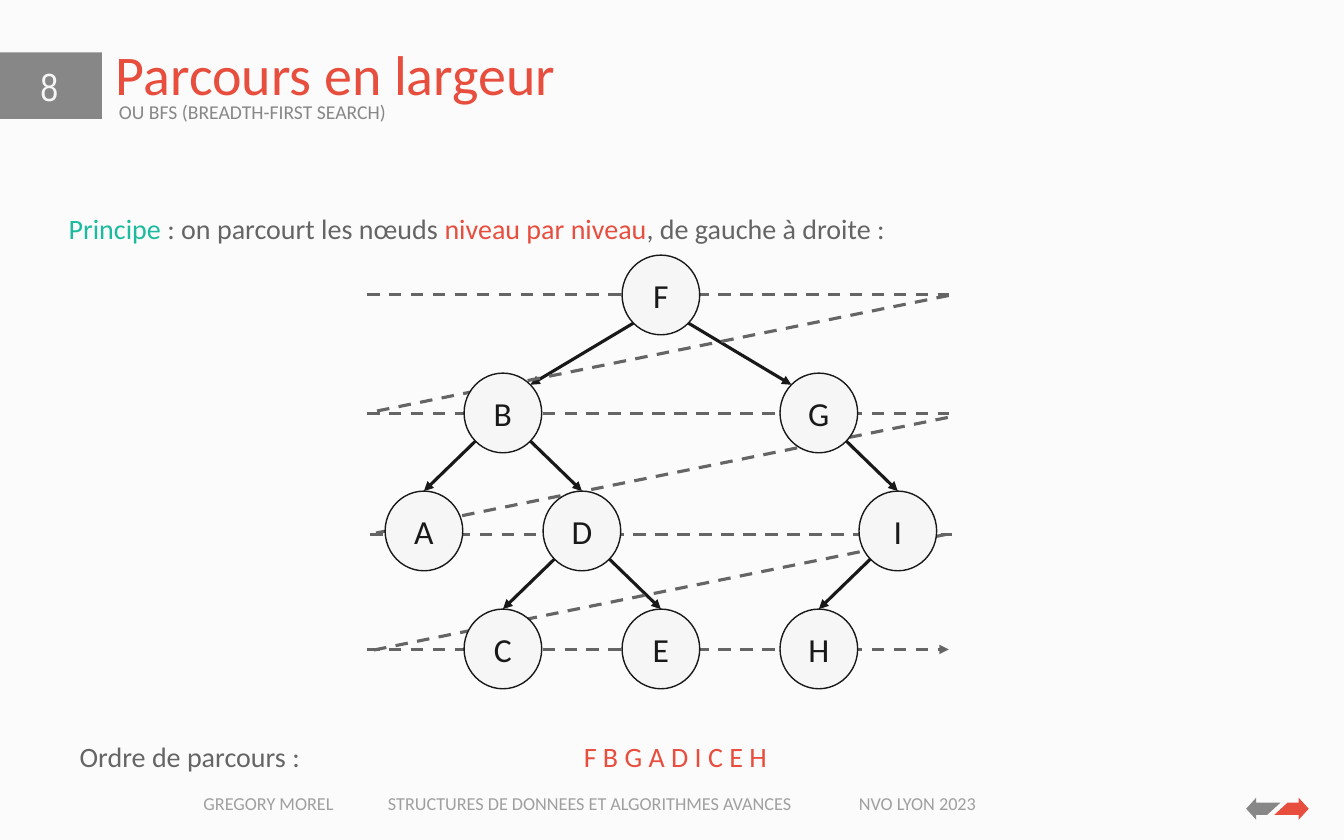
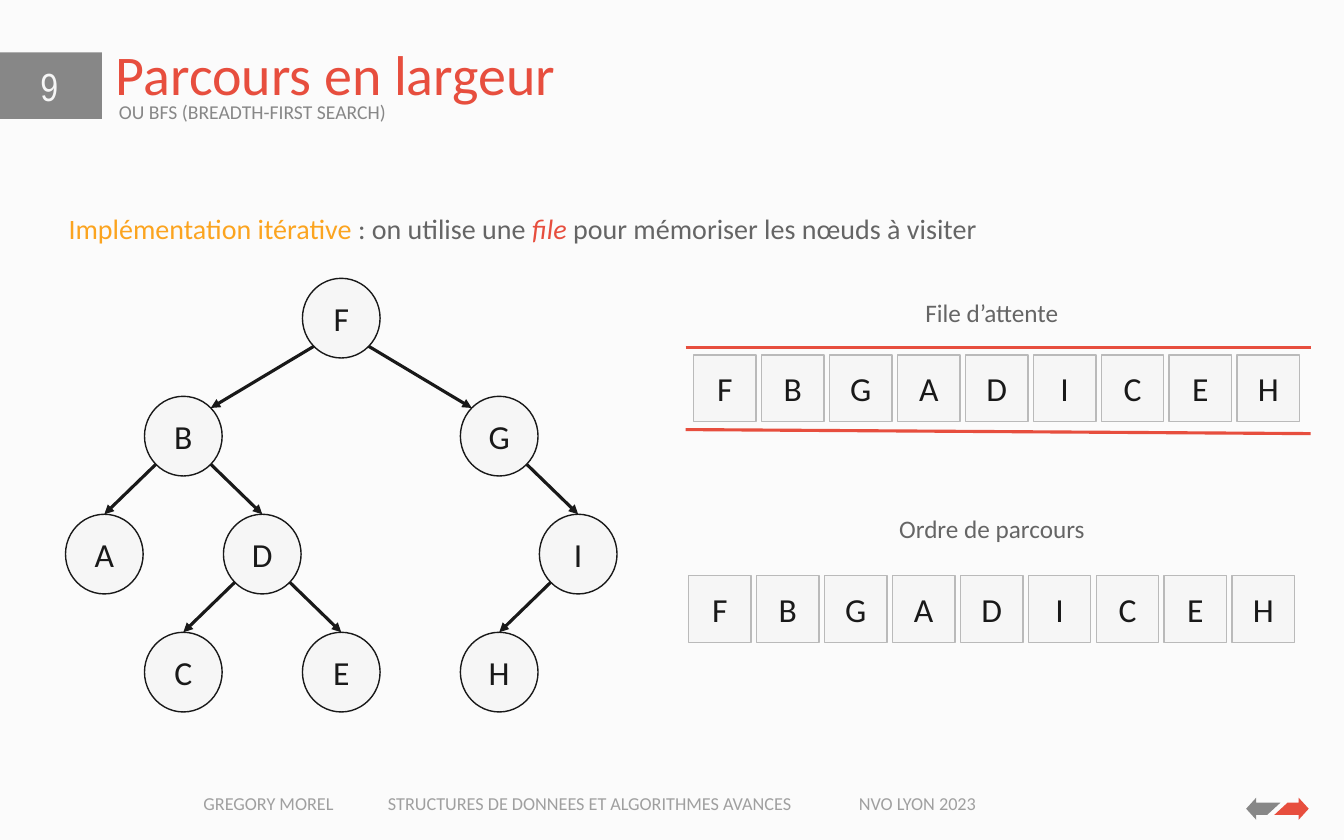
from dataclasses import dataclass

from lxml import etree
from pptx import Presentation
from pptx.dml.color import RGBColor
from pptx.enum.dml import MSO_LINE
from pptx.enum.shapes import MSO_CONNECTOR, MSO_SHAPE
from pptx.enum.text import MSO_ANCHOR, MSO_AUTO_SIZE, PP_ALIGN
from pptx.oxml.ns import qn
from pptx.util import Inches, Pt

LEFT, CENTER = PP_ALIGN.LEFT, PP_ALIGN.CENTER
TOP, MIDDLE, BOTTOM = MSO_ANCHOR.TOP, MSO_ANCHOR.MIDDLE, MSO_ANCHOR.BOTTOM
RECTANGLE, ELLIPSE = MSO_SHAPE.RECTANGLE, MSO_SHAPE.OVAL
STRAIGHT, DASH = MSO_CONNECTOR.STRAIGHT, MSO_LINE.DASH
NO_AUTOFIT = MSO_AUTO_SIZE.NONE


@dataclass(frozen=True)
class Theme:
    background: str = "FBFBFB"
    pale: str = "F6F6F6"
    ink: str = "191919"
    body: str = "656565"
    grey: str = "878787"
    border: str = "BABABA"
    red: str = "E74E3E"
    green: str = "1CBB9F"
    orange: str = "FBA41F"
    font: str = "Calibri"
    number_font: str = "Arial Narrow"
    title_size: int = 40
    number_size: int = 28
    node_size: int = 24
    body_size: int = 20
    label_size: int = 18
    subtitle_size: int = 14
    footer_size: int = 13
    thick: float = 2.25
    thin: float = 1


THEME = Theme()
SLIDE_WIDTH, SLIDE_HEIGHT = 13.33, 8.33

NODE_WIDTH, NODE_HEIGHT = 0.77, 0.79
COLUMN_STEP, ROW_STEP = 4.7 / 6, 1.17
DIAGONAL = 0.5 ** 0.5
NODES = {
    "F": (3, 0), "B": (1, 1), "G": (5, 1),
    "A": (0, 2), "D": (2, 2), "I": (6, 2),
    "C": (1, 3), "E": (3, 3), "H": (5, 3),
}
EDGES = ("FB", "BA", "BD", "FG", "GI", "DE", "DC", "IH")
VISIT_ORDER = "FBGADICEH"

CELL_WIDTH, CELL_HEIGHT = 0.62, 0.66
CELL_STEP = 5.39 / 8

SCAN_STARTS = ((3.64, 2.92), (3.64, 4.1), (3.67, 5.3), (3.64, 6.44))
SCAN_LENGTH = 5.77
RETURN_STARTS = ((9.41, 2.93), (9.4, 4.14), (9.38, 5.3))
RETURN_WIDTH, RETURN_DROP = 5.74, 1.16

ARROW_CENTER = (12.67, 8.02)
ARROW_OUTLINE = (
    (0.21, -0.06), (0.21, -0.11), (0.31, 0), (0.21, 0.11),
    (0.21, 0.06), (-0.03, 0.06), (0.1, -0.06),
)


def color(value):
    return RGBColor.from_string(value)


def box(left, top, width, height):
    return [Inches(length) for length in (left, top, width, height)]


def add_run(paragraph, text, size, text_color, italic=False, font=THEME.font):
    run = paragraph.add_run()
    run.text = text
    run.font.name = font
    run.font.size = Pt(size)
    run.font.italic = italic
    run.font.color.rgb = color(text_color)


def paint(shape, fill, line=None):
    shape.shadow.inherit = False
    shape.fill.solid()
    shape.fill.fore_color.rgb = color(fill)
    if line:
        shape.line.color.rgb = color(line)
        shape.line.width = Pt(THEME.thin)
    else:
        shape.line.fill.background()


def add_text(slide, area, alignment=LEFT, wrap=True):
    shape = slide.shapes.add_textbox(*box(*area))
    shape.text_frame.word_wrap = wrap
    paragraph = shape.text_frame.paragraphs[0]
    paragraph.alignment = alignment
    return shape, paragraph


def set_tabs(paragraph, positions):
    properties = paragraph._p.get_or_add_pPr()
    tabs = etree.SubElement(properties, qn("a:tabLst"))
    for position in positions:
        etree.SubElement(tabs, qn("a:tab"), pos=str(Inches(position)), algn="l")


def add_letter(slide, preset, area, letter, line):
    shape = slide.shapes.add_shape(preset, *box(*area))
    paint(shape, THEME.pale, line)
    shape.text_frame.vertical_anchor = MIDDLE
    paragraph = shape.text_frame.paragraphs[0]
    paragraph.alignment = CENTER
    add_run(paragraph, letter, THEME.node_size, THEME.ink)


def add_line(slide, start, end, line_color, dashed=False, arrow=False):
    ends = [Inches(length) for length in (*start, *end)]
    connector = slide.shapes.add_connector(STRAIGHT, *ends)
    connector.line.color.rgb = color(line_color)
    connector.line.width = Pt(THEME.thick)
    if dashed:
        connector.line.dash_style = DASH
    properties = connector.element.spPr
    if arrow:
        outline = properties.find(qn("a:ln"))
        etree.SubElement(outline, qn("a:tailEnd"), type="triangle")
    etree.SubElement(properties, qn("a:effectLst"))


def add_half_arrow(slide, direction, fill):
    center_x, center_y = ARROW_CENTER
    points = [
        (Inches(center_x + direction * x), Inches(center_y + direction * y))
        for x, y in ARROW_OUTLINE
    ]
    builder = slide.shapes.build_freeform(*points[0])
    builder.add_line_segments(points[1:], close=True)
    shape = builder.convert_to_shape()
    paint(shape, fill)
    return shape


def add_footer(slide):
    shape, paragraph = add_text(slide, (1.92, 7.81, 8.47, 0.32))
    set_tabs(paragraph, (1.83, 6.5))
    text = "GREGORY MOREL\tSTRUCTURES DE DONNEES ET ALGORITHMES AVANCES\tNVO LYON 2023"
    add_run(paragraph, text, THEME.footer_size, THEME.grey)
    for text_color in shape.element.iter(qn("a:srgbClr")):
        etree.SubElement(text_color, qn("a:alpha"), val="79000")
    return shape


def prepare_layout(presentation):
    background = presentation.slide_master.background.fill
    background.solid()
    background.fore_color.rgb = color(THEME.background)
    layout = presentation.slide_layouts[0]
    areas = {0: (1.05, 0.13, 10, 0.99), 1: (1.08, 0.97, 10, 0.49)}
    for placeholder in list(layout.placeholders):
        area = areas.get(placeholder.placeholder_format.idx)
        if area:
            (placeholder.left, placeholder.top,
             placeholder.width, placeholder.height) = box(*area)
        else:
            layout.shapes.element.remove(placeholder.element)
    return layout


def move_furniture_to_layout(slide, layout):
    band = slide.shapes.add_shape(RECTANGLE, *box(-0.01, 0.52, 1.02, 0.66))
    paint(band, THEME.grey)
    furniture = (
        band,
        add_half_arrow(slide, 1, THEME.red),
        add_half_arrow(slide, -1, THEME.grey),
        add_footer(slide),
    )
    for shape in furniture:
        layout.shapes.element.append(shape.element)


def fill_placeholder(placeholder, text, size, text_color, anchor):
    frame = placeholder.text_frame
    frame.auto_size = NO_AUTOFIT
    frame.vertical_anchor = anchor
    paragraph = frame.paragraphs[0]
    paragraph.alignment = LEFT
    paragraph.line_spacing = 0.9
    add_run(paragraph, text, size, text_color)
    return paragraph


def add_heading(slide, number):
    title, subtitle = slide.placeholders
    fill_placeholder(title, "Parcours en largeur", THEME.title_size, THEME.red, BOTTOM)
    paragraph = fill_placeholder(
        subtitle, "OU BFS (BREADTH-FIRST SEARCH)", THEME.subtitle_size, THEME.grey, TOP)
    paragraph.space_before = Pt(10)
    _, paragraph = add_text(slide, (0.09, 0.57, 0.8, 0.51), CENTER)
    add_run(paragraph, str(number), THEME.number_size, THEME.pale, font=THEME.number_font)


def add_sentence(slide, left, top, runs, tabs=()):
    shape, paragraph = add_text(slide, (left, top, 12.48, 0.55))
    shape.text_frame.margin_left = Inches(0.3)
    paragraph.line_spacing = 1.5
    if tabs:
        set_tabs(paragraph, tabs)
    for text, *style in runs:
        add_run(paragraph, text, THEME.body_size, *style)


def add_label(slide, left, top, width, text):
    _, paragraph = add_text(slide, (left, top, width, 0.4), wrap=False)
    add_run(paragraph, text, THEME.label_size, THEME.body)


def node_corner(origin, letter):
    column, row = NODES[letter]
    return origin[0] + column * COLUMN_STEP, origin[1] + row * ROW_STEP


def rim_point(origin, letter, across, down):
    left, top = node_corner(origin, letter)
    return left + NODE_WIDTH / 2 * (1 + across), top + NODE_HEIGHT / 2 * (1 + down)


def add_edges(slide, origin):
    for parent, child in EDGES:
        distance = NODES[child][0] - NODES[parent][0]
        slant = DIAGONAL if distance > 0 else -DIAGONAL
        start = rim_point(origin, parent, slant, DIAGONAL)
        if abs(distance) > 1:
            end = rim_point(origin, child, -slant, -DIAGONAL)
        else:
            end = rim_point(origin, child, 0, -1)
        add_line(slide, start, end, THEME.ink, arrow=True)


def add_nodes(slide, origin):
    for letter in NODES:
        area = (*node_corner(origin, letter), NODE_WIDTH, NODE_HEIGHT)
        add_letter(slide, ELLIPSE, area, letter, THEME.ink)


def add_scan(slide):
    for x, y in SCAN_STARTS:
        last = (x, y) == SCAN_STARTS[-1]
        add_line(slide, (x, y), (x + SCAN_LENGTH, y), THEME.body, dashed=True, arrow=last)
    for x, y in RETURN_STARTS:
        end = (x - RETURN_WIDTH, y + RETURN_DROP)
        add_line(slide, (x, y), end, THEME.body, dashed=True)


def add_cells(slide, left, top):
    for index, letter in enumerate(VISIT_ORDER):
        area = (left + index * CELL_STEP, top, CELL_WIDTH, CELL_HEIGHT)
        add_letter(slide, RECTANGLE, area, letter, THEME.border)


def build_principle(slide):
    add_heading(slide, 8)
    add_sentence(slide, 0.38, 1.88, (
        ("Principe", THEME.green),
        (" : on parcourt les nœuds ", THEME.body),
        ("niveau par niveau", THEME.red),
        (", de gauche à droite :", THEME.body),
    ))
    origin = (3.82, 2.53)
    add_edges(slide, origin)
    add_scan(slide)
    add_nodes(slide, origin)
    add_sentence(slide, 0.49, 7.12, (
        ("Ordre de parcours :\t", THEME.body),
        (" ".join(VISIT_ORDER), THEME.red),
    ), tabs=(5,))


def build_implementation(slide):
    add_heading(slide, 9)
    add_sentence(slide, 0.38, 1.88, (
        ("Implémentation itérative", THEME.orange),
        (" : on utilise une ", THEME.body),
        ("file", THEME.red, True),
        (" pour mémoriser les nœuds à visiter", THEME.body),
    ))
    origin = (0.65, 2.76)
    add_edges(slide, origin)
    add_nodes(slide, origin)
    add_label(slide, 9.08, 2.9, 1.6, "File d’attente")
    add_line(slide, (6.8, 3.45), (13, 3.45), THEME.red)
    add_line(slide, (6.8, 4.26), (13, 4.3), THEME.red)
    add_cells(slide, 6.88, 3.52)
    add_label(slide, 8.82, 5.04, 2.1, "Ordre de parcours")
    add_cells(slide, 6.83, 5.71)


def main():
    presentation = Presentation()
    presentation.slide_width = Inches(SLIDE_WIDTH)
    presentation.slide_height = Inches(SLIDE_HEIGHT)
    layout = prepare_layout(presentation)
    principle = presentation.slides.add_slide(layout)
    move_furniture_to_layout(principle, layout)
    build_principle(principle)
    build_implementation(presentation.slides.add_slide(layout))
    presentation.save("out.pptx")


if __name__ == "__main__":
    main()
